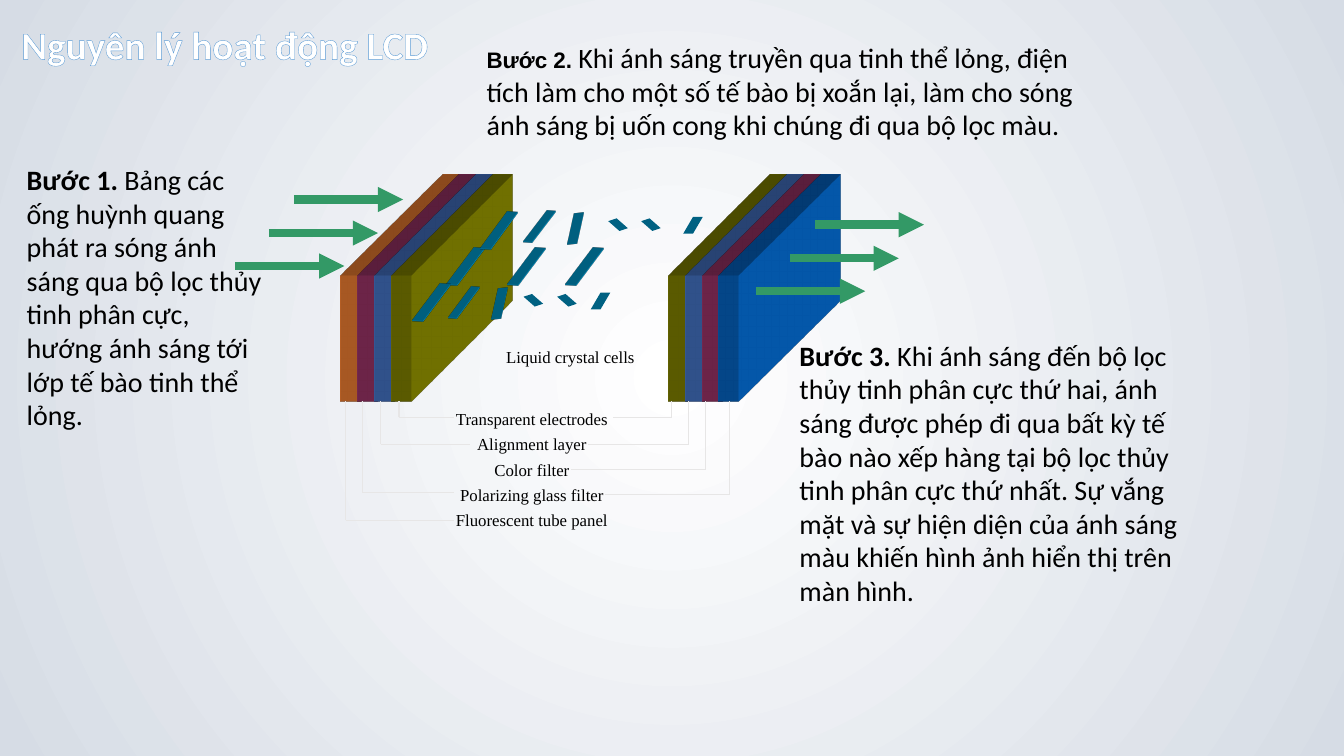
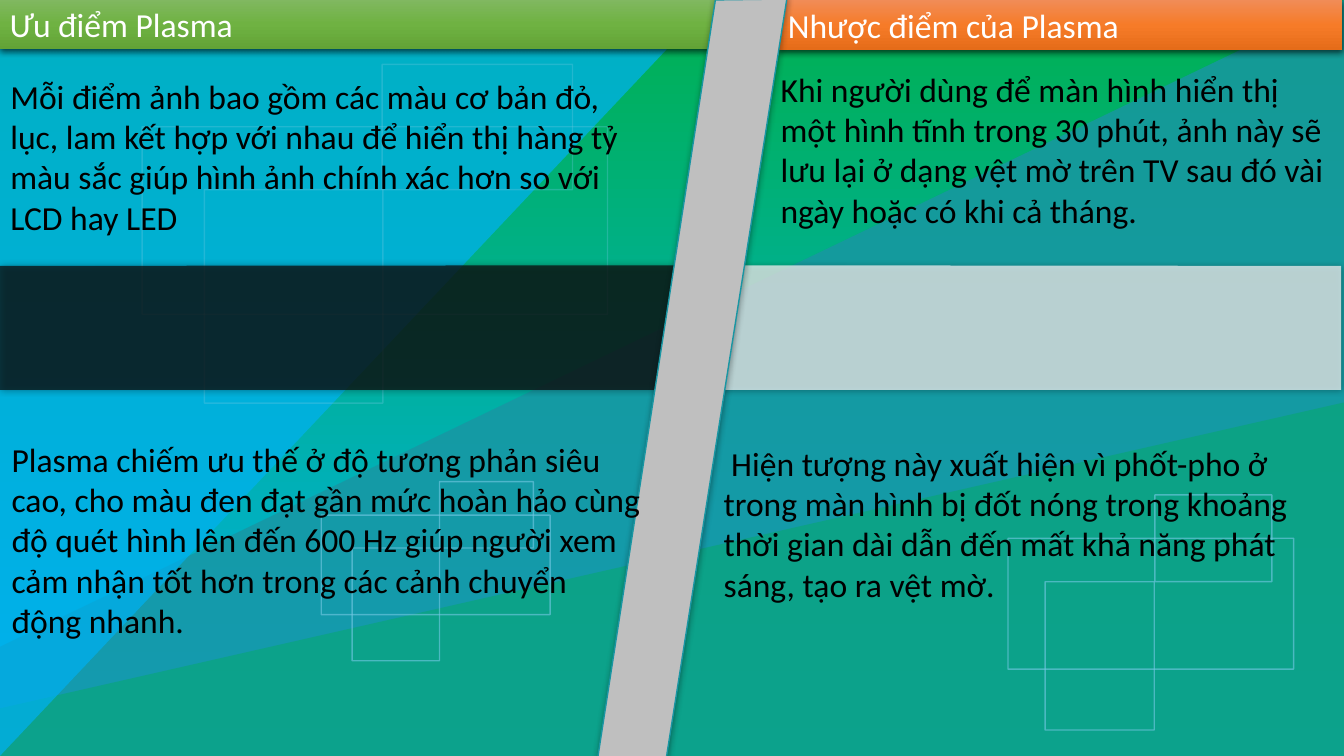
from dataclasses import dataclass
from typing import Optional

from lxml import etree
from pptx import Presentation
from pptx.dml.color import RGBColor
from pptx.enum.dml import MSO_PATTERN
from pptx.enum.shapes import MSO_CONNECTOR, MSO_SHAPE
from pptx.enum.text import MSO_ANCHOR, PP_ALIGN
from pptx.oxml.ns import qn
from pptx.util import Pt

RECTANGLE = MSO_SHAPE.RECTANGLE
RIGHT_TRIANGLE = MSO_SHAPE.RIGHT_TRIANGLE
STRAIGHT = MSO_CONNECTOR.STRAIGHT
DIAGONAL = MSO_PATTERN.LIGHT_DOWNWARD_DIAGONAL
HORIZONTAL = MSO_PATTERN.DARK_HORIZONTAL
TOP = MSO_ANCHOR.TOP
MIDDLE = MSO_ANCHOR.MIDDLE
LEFT = PP_ALIGN.LEFT
CENTER = PP_ALIGN.CENTER

WHITE = RGBColor(0xFF, 0xFF, 0xFF)
BLACK = RGBColor(0, 0, 0)
MIST = RGBColor(0xD6, 0xDC, 0xE5)
TITLE_BLUE = RGBColor(0x9D, 0xC3, 0xE6)
TITLE_EDGE = RGBColor(0x5B, 0x9B, 0xD5)
LIGHT_GREEN = RGBColor(0x33, 0x99, 0x66)
LEADER_GREY = RGBColor(0xE7, 0xE6, 0xE6)
CRYSTAL_BLUE = RGBColor(0x00, 0x99, 0xCC)
CHIP_BLUE = RGBColor(0x00, 0x61, 0x82)
TUBE_ORANGE = RGBColor(0xED, 0x7D, 0x31)
PURPLE = RGBColor(0x99, 0x33, 0x66)
LAYER_BLUE = RGBColor(0x44, 0x72, 0xC4)
OLIVE = RGBColor(0x80, 0x80, 0x00)
SCREEN_BLUE = RGBColor(0x05, 0x63, 0xC1)
GREEN = RGBColor(0x00, 0xB0, 0x50)
CYAN = RGBColor(0x00, 0xB0, 0xF0)
TEAL = RGBColor(0x19, 0x96, 0xA3)
FRAME_BLUE = RGBColor(0x73, 0xC8, 0xE3)
PALE = RGBColor(0xF2, 0xF2, 0xF2)
DARK = RGBColor(0x0D, 0x0D, 0x0D)
DIVIDER_GREY = RGBColor(0xBF, 0xBF, 0xBF)
PROS_GREENS = [RGBColor(0x81, 0xB8, 0x61), RGBColor(0x6F, 0xB2, 0x42), RGBColor(0x62, 0xA3, 0x36)]
CONS_ORANGES = [RGBColor(0xF1, 0x8C, 0x57), RGBColor(0xF6, 0x7B, 0x28), RGBColor(0xE5, 0x6C, 0x19)]

BODY_FONT = "Calibri"
LABEL_FONT = "Times New Roman"
SLIDE_W, SLIDE_H = 960, 540

SLAB_TOP, SLAB_WIDTH, SLAB_HEIGHT = 160.5, 204, 90
SLAB_STEP, SLAB_THICKNESS, SLAB_FOOT = 12, 14.4, 286.5
ARROW_LENGTH = 78


@dataclass(frozen=True)
class Shadow:
    opacity: int
    blur: float
    distance: float = 0
    angle: int = 0


@dataclass(frozen=True)
class Passage:
    left: float
    top: float
    width: float
    height: float
    body: str
    size: int = 20
    lead: str = ""
    lead_size: int = 20
    lead_font: str = BODY_FONT


@dataclass(frozen=True)
class Leader:
    label_x: float
    y: float
    slab_x: float


@dataclass(frozen=True)
class Header:
    left: float
    top: float
    width: float
    text: str
    colors: list


@dataclass(frozen=True)
class Crystal:
    length: float
    thickness: float
    turn: float
    centers: list


SOFT_SHADOW = Shadow(40, 5)
HEADER_SHADOW = Shadow(63, 4.5, 1.5, 90)

STEPS = [
    Passage(12, 112.5, 186.5, 201, "Bảng các ống huỳnh quang phát ra sóng ánh sáng qua bộ lọc thủy tinh phân cực, "
            "hướng ánh sáng tới lớp tế bào tinh thể lỏng.", lead="Bước 1. "),
    Passage(340.5, 25.5, 434, 104.5, " Khi ánh sáng truyền qua tinh thể lỏng, điện tích làm cho một số tế bào bị "
            "xoắn lại, làm cho sóng ánh sáng bị uốn cong khi chúng đi qua bộ lọc màu.",
            lead="Bước 2.", lead_size=16, lead_font="Arial"),
    Passage(564, 238, 296.5, 201, " Khi ánh sáng đến bộ lọc thủy tinh phân cực thứ hai, ánh sáng được phép đi qua "
            "bất kỳ tế bào nào xếp hàng tại bộ lọc thủy tinh phân cực thứ nhất. Sự vắng mặt và sự hiện diện của "
            "ánh sáng màu khiến hình ảnh hiển thị trên màn hình.", lead="Bước 3."),
]
LAYER_LABELS = ["Transparent electrodes", "Alignment layer", "Color filter",
                "Polarizing glass filter", "Fluorescent tube panel"]
LEADERS = [
    Leader(438, 298, 480), Leader(420, 317.5, 492), Leader(408, 335.5, 504), Leader(432, 353.5, 521),
    Leader(324, 298, 285), Leader(335.5, 317.5, 272), Leader(324, 352, 259), Leader(324, 371.5, 247),
]
INCOMING = [(210, 142.5), (192, 166.5), (168, 190)]
OUTGOING = [(582, 160.5), (564, 184.5), (540, 208)]
CRYSTALS = [
    Crystal(43, 8, 276.1, [(332.5, 190), (356.5, 164), (308, 215.5), (376, 190), (417.5, 190)]),
    Crystal(36.5, 6.5, 276.1, [(385.5, 161.5), (331.5, 215.5)]),
    Crystal(36, 6.5, 258, [(411, 162.5), (357, 216.5)]),
]
CHIPS = [
    ([(-7, -3), (-1, -5), (7, 2), (1, 4)], [(441.5, 161), (465, 161), (381, 215), (405, 215)]),
    ([(0, -6), (7, -6), (0, 6), (-7, 6)], [(495, 161), (429, 215)]),
]
FRAME_GROUPS = [
    (62, [(720, 384.5, 204, 93.5), (825, 353.5, 83.5, 62), (746.5, 415.5, 78, 106)]),
    (62, [(229.5, 368, 163.5, 71), (314, 344, 67, 47.5), (251.5, 391.5, 62.5, 80.5)]),
    (29, [(101.5, 90.5, 332.5, 134), (273, 46, 136, 89.5), (146, 135.5, 127.5, 152.5)]),
]
HEADERS = [Header(0, -0.7, 517, "Ưu điểm Plasma", PROS_GREENS),
           Header(555.7, 0, 403, "Nhược điểm của Plasma", CONS_ORANGES)]
PLASMA_PASSAGES = [
    Passage(0.3, 50.5, 465, 124, "Mỗi điểm ảnh bao gồm các màu cơ bản đỏ, lục, lam kết hợp với nhau để hiển thị "
            "hàng tỷ màu sắc giúp hình ảnh chính xác hơn so với LCD hay LED", 24),
    Passage(509.8, 312.7, 441, 124, " Hiện tượng này xuất hiện vì phốt-pho ở trong màn hình bị đốt nóng trong "
            "khoảng thời gian dài dẫn đến mất khả năng phát sáng, tạo ra vệt mờ.", 24),
    Passage(1.2, 309.7, 465, 153, "Plasma chiếm ưu thế ở độ tương phản siêu cao, cho màu đen đạt gần mức hoàn hảo "
            "cùng độ quét hình lên đến 600 Hz giúp người xem cảm nhận tốt hơn trong các cảnh chuyển động nhanh.", 24),
    Passage(550.5, 45.5, 413, 124, "Khi người dùng để màn hình hiển thị một hình tĩnh trong 30 phút, ảnh này sẽ "
            "lưu lại ở dạng vệt mờ trên TV sau đó vài ngày hoặc có khi cả tháng.", 24),
]


def set_alpha(fill_parent, opacity: int) -> None:
    color = fill_parent.find(qn("a:solidFill"))[0]
    etree.SubElement(color, qn("a:alpha")).set("val", str(opacity * 1000))


def set_gradient(owner, fill, colors: list, radial: bool = False) -> None:
    fill.gradient()
    gradient = owner.find(".//" + qn("a:gradFill"))
    for child in list(gradient):
        gradient.remove(child)
    stops = etree.SubElement(gradient, qn("a:gsLst"))
    for index, color in enumerate(colors):
        stop = etree.SubElement(stops, qn("a:gs"), pos=str(100000 * index // (len(colors) - 1)))
        etree.SubElement(stop, qn("a:srgbClr"), val=str(color))
    if radial:
        circle = etree.SubElement(gradient, qn("a:path"))
        circle.set("path", "circle")
        etree.SubElement(circle, qn("a:fillToRect"), l="50000", t="50000", r="50000", b="50000")
    else:
        etree.SubElement(gradient, qn("a:lin"), ang="5400000", scaled="0")


def set_pattern(fill, pattern, fore: RGBColor) -> None:
    fill.patterned()
    fill.pattern = pattern
    fill.fore_color.rgb = fore
    fill.back_color.rgb = WHITE


def set_depth(shape, color: RGBColor, thickness: float, latitude: int = 0, longitude: int = 0) -> None:
    scene = etree.SubElement(shape.element.spPr, qn("a:scene3d"))
    camera = etree.SubElement(scene, qn("a:camera"), prst="legacyObliqueTopRight")
    etree.SubElement(camera, qn("a:rot"), lat=str(latitude * 60000), lon=str(longitude * 60000), rev="0")
    etree.SubElement(scene, qn("a:lightRig"), rig="legacyFlat3", dir="b")
    solid = etree.SubElement(shape.element.spPr, qn("a:sp3d"), extrusionH=str(Pt(thickness)),
                             prstMaterial="legacyMatte")
    etree.SubElement(etree.SubElement(solid, qn("a:extrusionClr")), qn("a:srgbClr"), val=str(color))


def finish(shape, color: Optional[RGBColor] = None, opacity: int = 100, shadow: Optional[Shadow] = None):
    shape.shadow.inherit = False
    shape.line.fill.background()
    if color is None:
        shape.fill.background()
    else:
        shape.fill.solid()
        shape.fill.fore_color.rgb = color
        if opacity < 100:
            set_alpha(shape.element.spPr, opacity)
    if shadow:
        outer = etree.SubElement(
            shape.element.spPr.find(qn("a:effectLst")), qn("a:outerShdw"), blurRad=str(Pt(shadow.blur)),
            dist=str(Pt(shadow.distance)), dir=str(shadow.angle * 60000), rotWithShape="0")
        black = etree.SubElement(outer, qn("a:srgbClr"), val=str(BLACK))
        etree.SubElement(black, qn("a:alpha"), val=str(shadow.opacity * 1000))
    return shape


def add_box(slide, left: float, top: float, width: float, height: float, kind=RECTANGLE, **look):
    return finish(slide.shapes.add_shape(kind, Pt(left), Pt(top), Pt(width), Pt(height)), **look)


def add_polygon(slide, corners: list, **look):
    points = [(Pt(x), Pt(y)) for x, y in corners]
    builder = slide.shapes.build_freeform(*points[0])
    builder.add_line_segments(points[1:], close=True)
    return finish(builder.convert_to_shape(), **look)


def style_run(run, size: int, font: str = BODY_FONT, color: RGBColor = BLACK, bold: bool = False) -> None:
    run.font.size = Pt(size)
    run.font.name = font
    run.font.color.rgb = color
    run.font.bold = bold


def add_passage(slide, passage: Passage) -> None:
    frame = slide.shapes.add_textbox(Pt(passage.left), Pt(passage.top), Pt(passage.width),
                                     Pt(passage.height)).text_frame
    frame.word_wrap = True
    paragraph = frame.paragraphs[0]
    paragraph.text = passage.lead or passage.body
    if passage.lead:
        style_run(paragraph.runs[0], passage.lead_size, passage.lead_font, bold=True)
        paragraph.add_run().text = passage.body
    style_run(paragraph.runs[-1], passage.size)


def add_label(slide, center: float, top: float, text: str) -> None:
    width = 124
    frame = slide.shapes.add_textbox(Pt(center - width / 2), Pt(top), Pt(width), Pt(21.5)).text_frame
    frame.word_wrap = False
    frame.text = text
    frame.paragraphs[0].alignment = CENTER
    style_run(frame.paragraphs[0].runs[0], 12, LABEL_FONT)


def add_line(slide, start: tuple, end: tuple, color: RGBColor, width: float, arrow: bool = False) -> None:
    line = slide.shapes.add_connector(STRAIGHT, *(Pt(value) for value in start + end))
    line.line.color.rgb = color
    line.line.width = Pt(width)
    properties = line.element.spPr
    if arrow:
        etree.SubElement(properties.find(qn("a:ln")), qn("a:tailEnd"), type="triangle")
    etree.SubElement(properties, qn("a:effectLst"))


def add_light(slide, starts: list) -> None:
    for x, y in starts:
        add_line(slide, (x, y), (x + ARROW_LENGTH, y), LIGHT_GREEN, 6, arrow=True)


def add_slabs(slide, left: float, colors: list) -> None:
    for index, color in enumerate(colors):
        slab = add_box(slide, left + index * SLAB_STEP, SLAB_TOP, SLAB_WIDTH, SLAB_HEIGHT, color=color)
        set_depth(slab, color, SLAB_THICKNESS, longitude=270)


def add_crystals(slide, crystal: Crystal) -> None:
    for x, y in crystal.centers:
        cell = add_box(slide, x - crystal.length / 2, y - crystal.thickness / 2, crystal.length,
                       crystal.thickness, color=CRYSTAL_BLUE)
        cell.rotation = crystal.turn
        set_depth(cell, CRYSTAL_BLUE, 1, latitude=285)


def build_lcd(deck) -> None:
    slide = deck.slides.add_slide(deck.slide_layouts[5])
    set_gradient(slide.element, slide.background.fill, [WHITE, MIST], radial=True)
    title = slide.shapes.title
    title.left, title.top, title.width, title.height = Pt(8), Pt(11), Pt(785), Pt(41)
    title.text_frame.text = "Nguyên lý hoạt động LCD"
    title.text_frame.vertical_anchor = TOP
    title.text_frame.paragraphs[0].alignment = LEFT
    heading = title.text_frame.paragraphs[0].runs[0]
    style_run(heading, 28, bold=True)
    set_pattern(heading.font.fill, DIAGONAL, TITLE_BLUE)
    outline = etree.Element(qn("a:ln"), w=str(Pt(1)))
    edge = etree.SubElement(outline, qn("a:solidFill"))
    etree.SubElement(edge, qn("a:srgbClr"), val=str(TITLE_EDGE))
    title.element.find(".//" + qn("a:rPr")).insert(0, outline)

    add_light(slide, INCOMING)
    add_slabs(slide, 192, [TUBE_ORANGE, PURPLE, LAYER_BLUE, OLIVE])
    for step in STEPS:
        add_passage(slide, step)
    for crystal in CRYSTALS:
        add_crystals(slide, crystal)
    for corners, centers in CHIPS:
        for x, y in centers:
            add_polygon(slide, [(x + dx, y + dy) for dx, dy in corners], color=CHIP_BLUE)
    add_label(slide, 407.5, 244, "Liquid crystal cells")
    add_slabs(slide, 426, [OLIVE, LAYER_BLUE, PURPLE, SCREEN_BLUE])
    for leader in LEADERS:
        bend = (leader.slab_x, leader.y)
        add_line(slide, (leader.label_x, leader.y), bend, LEADER_GREY, 0.75)
        add_line(slide, bend, (leader.slab_x, SLAB_FOOT), LEADER_GREY, 0.75)
    for index, text in enumerate(LAYER_LABELS):
        add_label(slide, 380, 288.5 + 18 * index, text)
    add_light(slide, OUTGOING)


def build_plasma(deck) -> None:
    slide = deck.slides.add_slide(deck.slide_layouts[6])
    backdrop = add_box(slide, 0, 0, SLIDE_W, SLIDE_H)
    set_gradient(backdrop.element, backdrop.fill, [GREEN, CYAN])
    add_polygon(slide, [(0, 462), (SLIDE_W, 0), (SLIDE_W, SLIDE_H), (0, SLIDE_H)], color=TEAL, opacity=82)
    add_polygon(slide, [(0, 506), (SLIDE_W, 287.5), (SLIDE_W, SLIDE_H), (0, SLIDE_H)], color=GREEN, opacity=37)
    corner = add_box(slide, 0, 0, 509.5, SLIDE_H, RIGHT_TRIANGLE, color=CYAN, opacity=72)
    corner.element.spPr.find(qn("a:xfrm")).set("flipV", "1")
    for opacity, frames in FRAME_GROUPS:
        for place in frames:
            frame = add_box(slide, *place)
            frame.line.color.rgb = FRAME_BLUE
            frame.line.width = Pt(1)
            set_alpha(frame.element.spPr.find(qn("a:ln")), opacity)
    add_polygon(slide, [(520, 189.5), (958, 190), (958, 278.5), (497, 278.5)],
                color=PALE, opacity=75, shadow=SOFT_SHADOW)
    add_polygon(slide, [(0, 190), (499.5, 189.5), (471.5, 278.5), (0, 278.5)],
                color=DARK, opacity=75, shadow=SOFT_SHADOW)
    for header in HEADERS:
        band = add_box(slide, header.left, header.top, header.width, 36, shadow=HEADER_SHADOW)
        set_gradient(band.element, band.fill, header.colors)
        band.text_frame.text = header.text
        band.text_frame.vertical_anchor = MIDDLE
        band.text_frame.paragraphs[0].alignment = LEFT
        style_run(band.text_frame.paragraphs[0].runs[0], 24, color=WHITE)
    divider = add_polygon(slide, [(511, 0), (562, -0.7), (476, 541), (427, 541)], shadow=SOFT_SHADOW)
    set_pattern(divider.fill, HORIZONTAL, DIVIDER_GREY)
    divider.line.color.rgb = TEAL
    divider.line.width = Pt(1)
    for passage in PLASMA_PASSAGES:
        add_passage(slide, passage)


def main() -> None:
    deck = Presentation()
    deck.slide_width, deck.slide_height = Pt(SLIDE_W), Pt(SLIDE_H)
    build_lcd(deck)
    build_plasma(deck)
    deck.save("out.pptx")


if __name__ == "__main__":
    main()
